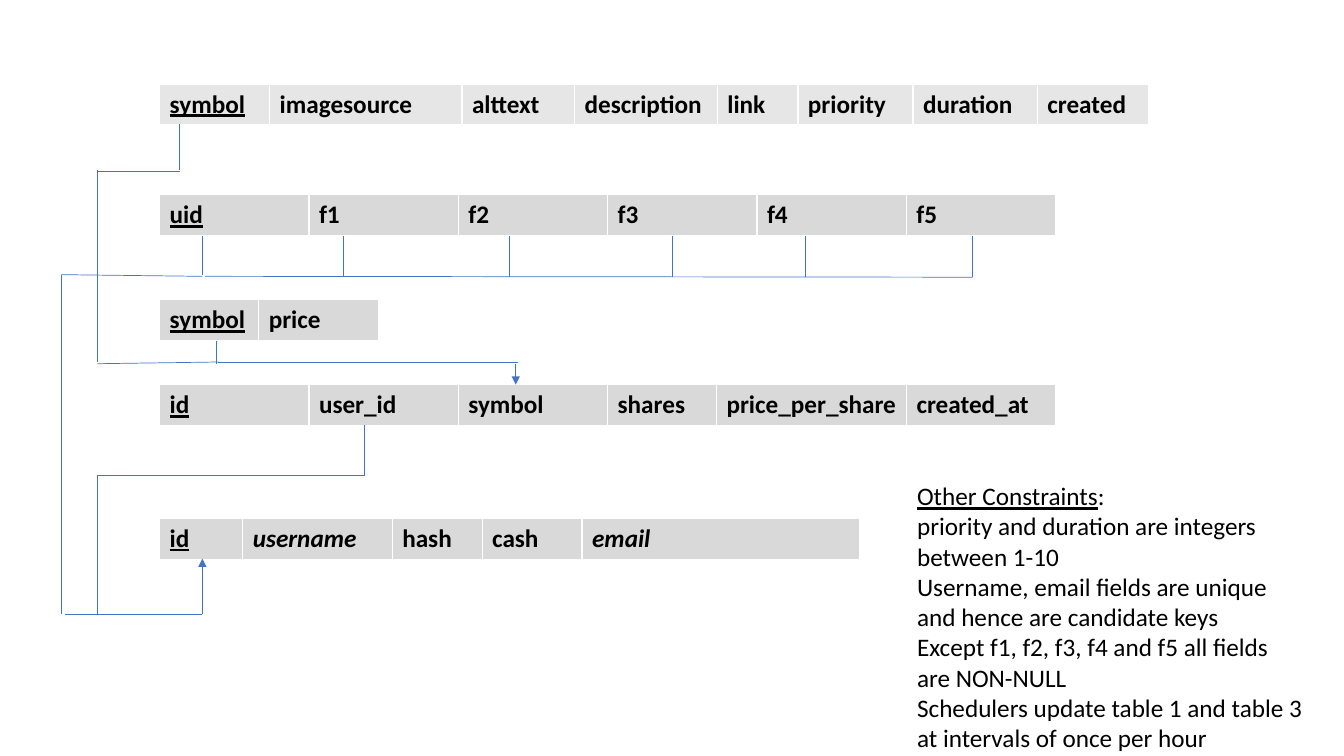
from dataclasses import dataclass

from lxml.etree import SubElement
from pptx import Presentation
from pptx.dml.color import RGBColor
from pptx.enum.shapes import MSO_CONNECTOR
from pptx.enum.text import MSO_AUTO_SIZE as AutoSize
from pptx.oxml.ns import qn
from pptx.slide import Slide
from pptx.text.text import Font
from pptx.util import Inches, Pt

BLACK = RGBColor(0x00, 0x00, 0x00)
PALE_GREY = RGBColor(0xE7, 0xE6, 0xE6)
GREY = RGBColor(0xD9, 0xD9, 0xD9)
BLUE = RGBColor(0x44, 0x72, 0xC4)

SLIDE_WIDTH, SLIDE_HEIGHT = Inches(13.33), Inches(7.5)
GRID_COLUMNS, GRID_ROWS = 160, 90
SCHEMA_LEFT, SCHEMA_HEIGHT = 19, 4.87
EVEN = 17.78
OUTER_LANE, INNER_LANE = 7.3, 11.6
UID_X, USER_ID_X, PRICE_SYMBOL_X, ORDER_SYMBOL_X = 24.1, 43.4, 25.7, 61.4
FAVOURITES_BOTTOM, FAVOURITES_BUS = 28.1, 32.9
SYMBOL_BUS, USER_BUS, USERS_BUS = 43.1, 56.6, 73.1


@dataclass(frozen=True)
class Field:
    """One attribute of a relation, with its width in grid columns."""
    name: str
    width: float = EVEN
    key: bool = False
    candidate: bool = False


@dataclass(frozen=True)
class Relation:
    """A relation schema at a grid row."""
    top: float
    fields: tuple[Field, ...]
    fill: RGBColor = GREY


@dataclass(frozen=True)
class Link:
    """A straight piece of a foreign key line, in grid units."""
    x1: float
    y1: float
    x2: float
    y2: float
    arrow: bool = False


RELATIONS = (
    Relation(10, (
        Field("symbol", 13.1, key=True), Field("imagesource", 22.9),
        Field("alttext", 13.4), Field("description", 17), Field("link", 9.6),
        Field("priority", 13.7), Field("duration", 14.8), Field("created", 13.2),
    ), PALE_GREY),
    Relation(23.2, (
        Field("uid", key=True), *(Field(f"f{n}") for n in range(1, 6)),
    )),
    Relation(35.7, (Field("symbol", 11.8, key=True), Field("price", 14.3))),
    Relation(45.8, (
        Field("id", key=True), Field("user_id"), Field("symbol"),
        Field("shares", 12.96), Field("price_per_share", 22.62), Field("created_at"),
    )),
    Relation(61.7, (
        Field("id", 9.9, key=True), Field("username", 17.8, candidate=True),
        Field("hash", 10.7), Field("cash", 11.9), Field("email", 33, candidate=True),
    )),
)

FAVOURITE_XS = (40.9, 60.6, 80, 95.9, 115.8)

LINKS = (
    Link(UID_X, FAVOURITES_BOTTOM, UID_X, 32.7),
    Link(UID_X, FAVOURITES_BUS, OUTER_LANE, 32.7),
    Link(OUTER_LANE, 32.7, OUTER_LANE, USERS_BUS),
    Link(7.7, USERS_BUS, UID_X, USERS_BUS),
    Link(UID_X, USERS_BUS, UID_X, 66.5, arrow=True),
    Link(USER_ID_X, USER_BUS, 31.3, USER_BUS),
    Link(INNER_LANE, USER_BUS, INNER_LANE, USERS_BUS),
    Link(PRICE_SYMBOL_X, 40.6, PRICE_SYMBOL_X, 43.3),
    Link(26, SYMBOL_BUS, 61.7, SYMBOL_BUS),
    Link(ORDER_SYMBOL_X, 43.3, ORDER_SYMBOL_X, 45.8, arrow=True),
    Link(USER_ID_X, 50.6, USER_ID_X, USER_BUS),
    Link(32, USER_BUS, INNER_LANE, USER_BUS),
    Link(21.4, 14.8, 21.4, 20.2),
    Link(21.4, 20.4, INNER_LANE, 20.4),
    Link(INNER_LANE, 20.2, INNER_LANE, SYMBOL_BUS),
    Link(INNER_LANE, 43.3, 26, SYMBOL_BUS),
    *(Link(x, FAVOURITES_BOTTOM, x, 33) for x in FAVOURITE_XS),
    Link(24.4, FAVOURITES_BUS, FAVOURITE_XS[-1], 33),
)

CONSTRAINTS = (
    "priority and duration are integers between 1-10",
    "Username, email fields are unique and hence are candidate keys",
    "Except f1, f2, f3, f4 and f5 all fields are NON-NULL",
    "Schedulers update table 1 and table 3 at intervals of once per hour",
)


def col(count: float) -> int:
    """Return the length of a number of grid columns."""
    return round(SLIDE_WIDTH * count / GRID_COLUMNS)


def row(count: float) -> int:
    """Return the length of a number of grid rows."""
    return round(SLIDE_HEIGHT * count / GRID_ROWS)


def style_font(font: Font) -> None:
    """Apply the common text style."""
    font.name, font.size = "Calibri", Pt(18)
    font.color.rgb = BLACK


def draw_relation(slide: Slide, relation: Relation) -> None:
    """Draw a relation as a table of one row."""
    fields = relation.fields
    table = slide.shapes.add_table(
        1, len(fields), col(SCHEMA_LEFT), row(relation.top),
        col(sum(field.width for field in fields)), row(SCHEMA_HEIGHT)).table
    for index, field in enumerate(fields):
        table.columns[index].width = col(field.width)
        cell = table.cell(0, index)
        cell.fill.solid()
        cell.fill.fore_color.rgb = relation.fill
        cell.text_frame.text = field.name
        font = cell.text_frame.paragraphs[0].runs[0].font
        style_font(font)
        font.bold, font.underline, font.italic = True, field.key, field.candidate


def draw_link(slide: Slide, link: Link) -> None:
    """Draw a thin line, with an arrowhead at its end if wanted."""
    connector = slide.shapes.add_connector(
        MSO_CONNECTOR.STRAIGHT, col(link.x1), row(link.y1), col(link.x2), row(link.y2))
    connector.line.color.rgb = BLUE
    connector.line.width = Pt(0.5)
    if link.arrow:
        SubElement(connector.line._get_or_add_ln(), qn("a:tailEnd"), type="triangle")
    SubElement(connector._element.spPr, qn("a:effectLst"))


def draw_constraints(slide: Slide) -> None:
    """Write the constraints under their underlined heading."""
    frame = slide.shapes.add_textbox(col(108), row(56.6), col(48.4), row(34)).text_frame
    frame.word_wrap = True
    frame.auto_size = AutoSize.SHAPE_TO_FIT_TEXT
    frame.text = "\n".join(("", *CONSTRAINTS))
    heading = frame.paragraphs[0]
    for text, underlined in (("Other Constraints", True), (":", False)):
        run = heading.add_run()
        run.text = text
        run.font.underline = underlined
    for paragraph in frame.paragraphs:
        for run in paragraph.runs:
            style_font(run.font)


def main() -> None:
    """Build the schema slide."""
    deck = Presentation()
    deck.slide_width, deck.slide_height = SLIDE_WIDTH, SLIDE_HEIGHT
    slide = deck.slides.add_slide(deck.slide_layouts[6])
    for relation in RELATIONS:
        draw_relation(slide, relation)
    for link in LINKS:
        draw_link(slide, link)
    draw_constraints(slide)
    deck.save("out.pptx")


if __name__ == "__main__":
    main()
